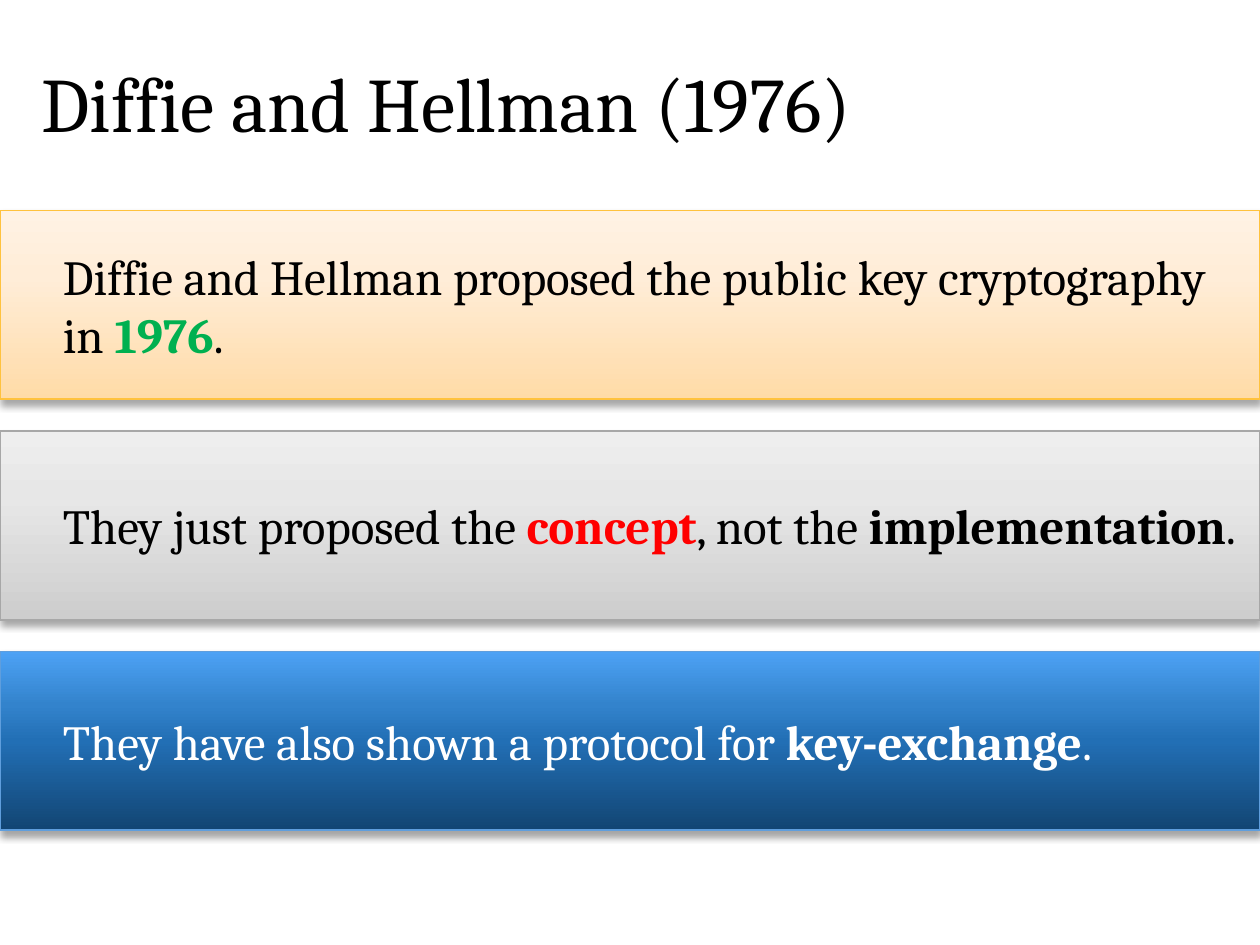
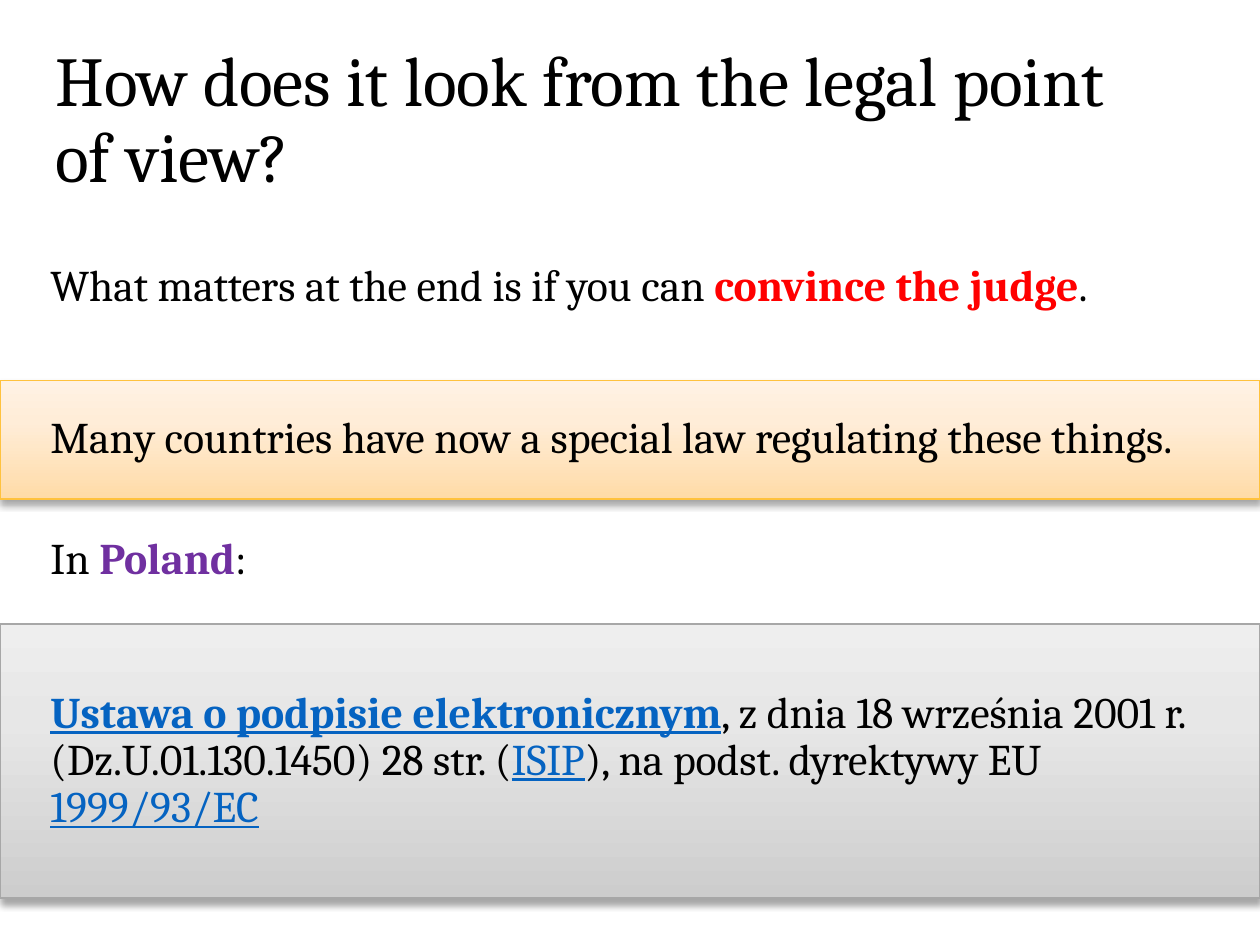
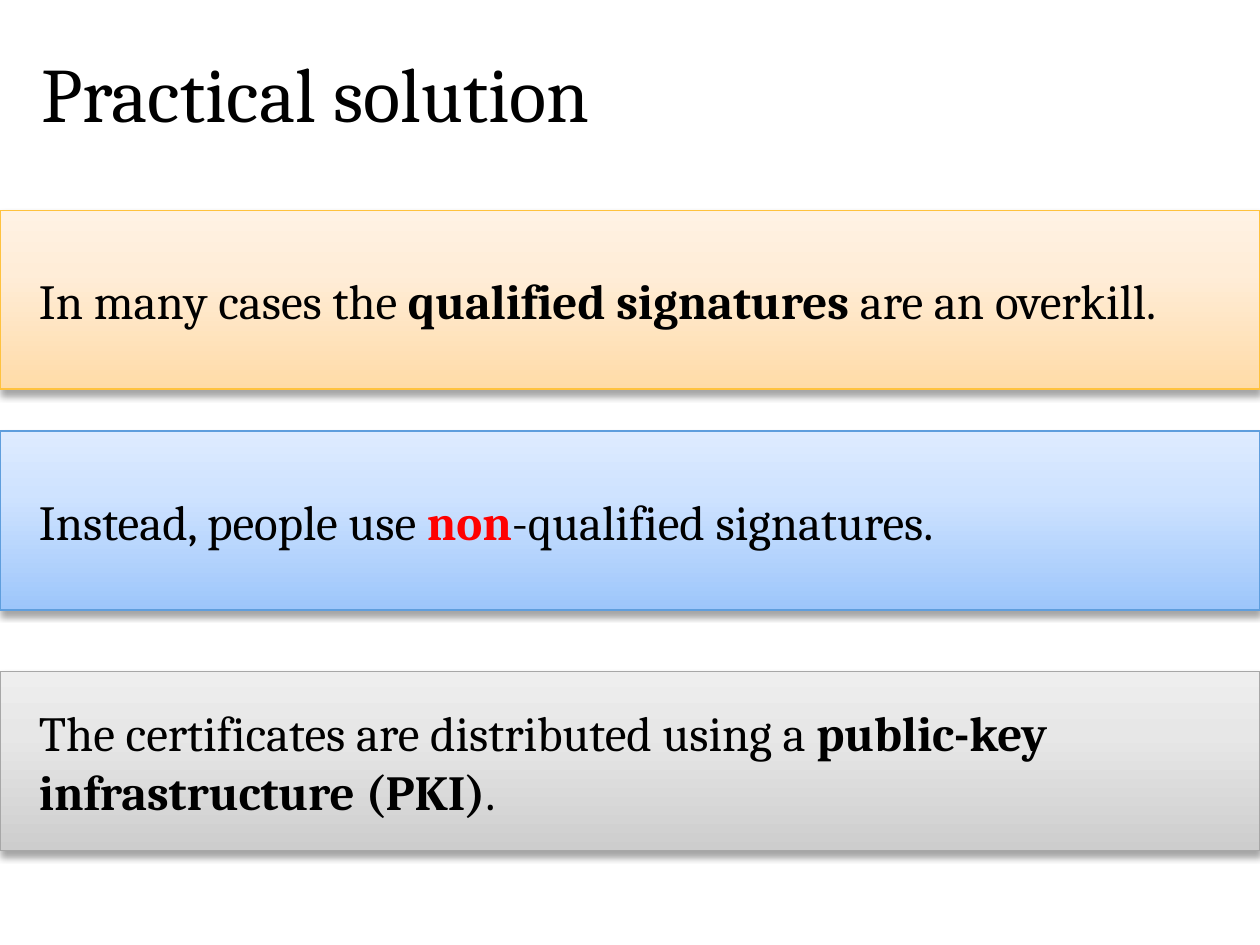
from dataclasses import dataclass
from typing import NamedTuple

from lxml import etree
from pptx import Presentation
from pptx.dml.color import RGBColor
from pptx.enum.shapes import MSO_SHAPE
from pptx.enum.text import MSO_ANCHOR, MSO_AUTO_SIZE, PP_ALIGN
from pptx.oxml.ns import qn
from pptx.util import Inches, Pt

RECTANGLE = MSO_SHAPE.RECTANGLE
MIDDLE = MSO_ANCHOR.MIDDLE
TOP = MSO_ANCHOR.TOP
LEFT = PP_ALIGN.LEFT
NO_AUTOFIT = MSO_AUTO_SIZE.NONE
FIT_SHAPE = MSO_AUTO_SIZE.SHAPE_TO_FIT_TEXT
TITLE_AND_CONTENT, TITLE_ONLY = 1, 5

FONT = "Cambria"
COLORS = {
    "black": "000000",
    "white": "FFFFFF",
    "red": "FF0000",
    "green": "00B050",
    "purple": "7030A0",
    "link": "0563C1",
    "gold_line": "FFC23E",
    "gray_line": "A7A7A7",
    "blue_line": "5F9EDD",
}
GRADIENTS = {
    "gold": {0: "FFDBA7", 65: "FFEDD8", 100: "FFF2E4"},
    "gray": {0: "CDCDCD", 65: "E7E7E7", 100: "EEEEEE"},
    "blue": {0: "9DC6FB", 65: "CFE3FF", 100: "DEEBFF"},
    "deep_blue": {0: "124573", 50: "226FB5", 70: "3383CC", 100: "4DA2F5"},
}
BAND_LINES = {
    "gold": "gold_line",
    "gray": "gray_line",
    "blue": "blue_line",
    "deep_blue": "blue_line",
}
FIRST_BAND = 1.67
BAND_STEP = 1.75
BAND_HEIGHT = 1.42
TALL_BAND = 1.5


class Span(NamedTuple):
    text: str
    color: str = ""
    bold: bool = False
    underline: bool = False


Lines = list[list[Span]]


@dataclass
class TextStyle:
    size: float
    left: float
    right: float = 0.1
    color: str = "black"
    spacing: float = 1.0
    anchor: MSO_ANCHOR = MIDDLE
    wrap: bool = True


@dataclass
class Band:
    top: float
    height: float
    look: str
    style: TextStyle
    lines: Lines


def write(tf, lines: Lines, style: TextStyle) -> None:
    tf.word_wrap = style.wrap
    tf.auto_size = NO_AUTOFIT
    tf.vertical_anchor = style.anchor
    tf.margin_left, tf.margin_right = Inches(style.left), Inches(style.right)
    tf.margin_top = tf.margin_bottom = Inches(0.05)
    for i, spans in enumerate(lines):
        p = tf.paragraphs[0] if i == 0 else tf.add_paragraph()
        p.alignment = LEFT
        p.line_spacing = style.spacing
        p.space_before = Pt(0)
        for span in spans:
            r = p.add_run()
            r.text = span.text
            r.font.name = FONT
            r.font.size = Pt(style.size)
            r.font.bold = span.bold
            r.font.underline = span.underline
            r.font.color.rgb = RGBColor.from_string(COLORS[span.color or style.color])


def place(sp, left: float, top: float, width: float, height: float) -> None:
    sp.left, sp.top = Inches(left), Inches(top)
    sp.width, sp.height = Inches(width), Inches(height)


def add_title(s, text: str, left: float, top: float, size: float) -> None:
    sp = s.shapes.title
    place(sp, left, top, 8.62, 1.45)
    write(sp.text_frame, [[Span(text)]], TextStyle(size, 0.1, spacing=0.9))


def fill_gradient(sp, stops: dict[int, str]) -> None:
    sp.fill.gradient()
    sp.fill.gradient_angle = 90
    gs_list = next(sp.element.spPr.iter(qn("a:gsLst")))
    for gs in list(gs_list):
        gs_list.remove(gs)
    for position, color in stops.items():
        gs = etree.SubElement(gs_list, qn("a:gs"), pos=str(position * 1000))
        etree.SubElement(gs, qn("a:srgbClr"), val=color)


def add_shadow(sp) -> None:
    sp.shadow.inherit = False
    effects = sp.element.spPr.find(qn("a:effectLst"))
    shadow = etree.SubElement(
        effects, qn("a:outerShdw"), blurRad=str(Pt(4)), dist=str(Pt(3)),
        dir="5400000", rotWithShape="0",
    )
    color = etree.SubElement(shadow, qn("a:srgbClr"), val=COLORS["black"])
    etree.SubElement(color, qn("a:alpha"), val="35000")


def add_band(s, band: Band) -> None:
    sp = s.shapes.add_shape(
        RECTANGLE, 0, Inches(band.top), Inches(10), Inches(band.height)
    )
    fill_gradient(sp, GRADIENTS[band.look])
    sp.line.color.rgb = RGBColor.from_string(COLORS[BAND_LINES[band.look]])
    sp.line.width = Pt(1)
    add_shadow(sp)
    write(sp.text_frame, band.lines, band.style)


def diffie_hellman_slide(prs) -> None:
    s = prs.slides.add_slide(prs.slide_layouts[TITLE_ONLY])
    add_title(s, "Diffie and Hellman (1976)", 0.23, 0.13, 44)
    style = TextStyle(28, 0.5)
    white = TextStyle(28, 0.5, color="white")
    rows = [
        ("gold", TALL_BAND, style, [
            Span("Diffie and Hellman proposed the public key cryptography in "),
            Span("1976", "green", True),
            Span("."),
        ]),
        ("gray", TALL_BAND, style, [
            Span("They just proposed the "),
            Span("concept", "red", True),
            Span(", not the "),
            Span("implementation", bold=True),
            Span("."),
        ]),
        ("deep_blue", BAND_HEIGHT, white, [
            Span("They have also shown a protocol for "),
            Span("key-exchange", bold=True),
            Span("."),
        ]),
    ]
    for i, (look, height, text_style, spans) in enumerate(rows):
        top = FIRST_BAND + i * BAND_STEP
        add_band(s, Band(top, height, look, text_style, [spans]))


def legal_view_slide(prs) -> None:
    s = prs.slides.add_slide(prs.slide_layouts[TITLE_AND_CONTENT])
    add_title(s, "How does it look from the legal point of view?", 0.34, 0.24, 40)
    banded = TextStyle(25, 0.4, 0.4, spacing=0.9)
    one_line = TextStyle(25, 0.4, 0.4, spacing=0.9, wrap=False)
    plain = TextStyle(25, 0.4, 0.4, spacing=0.9, anchor=TOP)

    body = s.placeholders[1]
    place(body, 0, 2.04, 9.6, 0.72)
    pPr = body.text_frame.paragraphs[0]._p.get_or_add_pPr()
    pPr.set("marL", str(Inches(0.25)))
    pPr.set("indent", str(Inches(-0.25)))
    etree.SubElement(pPr, qn("a:buNone"))
    write(body.text_frame, [[
        Span("What matters at the end is if you can "),
        Span("convince the judge", "red", True),
        Span("."),
    ]], plain)

    add_band(s, Band(3.02, 0.94, "gold", one_line, [
        [Span("Many countries have now a special law regulating these things.")],
    ]))

    country = s.shapes.add_textbox(0, Inches(4.21), Inches(5), Inches(0.48))
    write(country.text_frame, [[
        Span("In "), Span("Poland", "purple", True), Span(":"),
    ]], plain)
    country.text_frame.auto_size = FIT_SHAPE

    add_band(s, Band(4.95, 2.18, "gray", banded, [
        [
            Span("Ustawa o podpisie elektronicznym", "link", True, True),
            Span(", z dnia 18 września 2001 r."),
        ],
        [
            Span("(Dz.U.01.130.1450) 28 str. ("),
            Span("ISIP", "link", underline=True),
            Span("), na podst. dyrektywy EU "),
            Span("1999/93/EC", "link", underline=True),
        ],
    ]))


def practical_solution_slide(prs) -> None:
    s = prs.slides.add_slide(prs.slide_layouts[TITLE_ONLY])
    add_title(s, "Practical solution", 0.23, 0.05, 44)
    style = TextStyle(28, 0.31)
    rows = [
        (FIRST_BAND, "gold", [
            Span("In many cases the "),
            Span("qualified signatures", bold=True),
            Span(" are an overkill."),
        ]),
        (FIRST_BAND + BAND_STEP, "blue", [
            Span("Instead, people use "),
            Span("non", "red", True),
            Span("-qualified signatures."),
        ]),
        (5.33, "gray", [
            Span("The certificates are distributed using a "),
            Span("public-key infrastructure (PKI)", bold=True),
            Span("."),
        ]),
    ]
    for top, look, spans in rows:
        add_band(s, Band(top, BAND_HEIGHT, look, style, [spans]))


def main() -> None:
    prs = Presentation()
    prs.slide_width, prs.slide_height = Inches(10), Inches(7.5)
    diffie_hellman_slide(prs)
    legal_view_slide(prs)
    practical_solution_slide(prs)
    prs.save("out.pptx")


if __name__ == "__main__":
    main()
